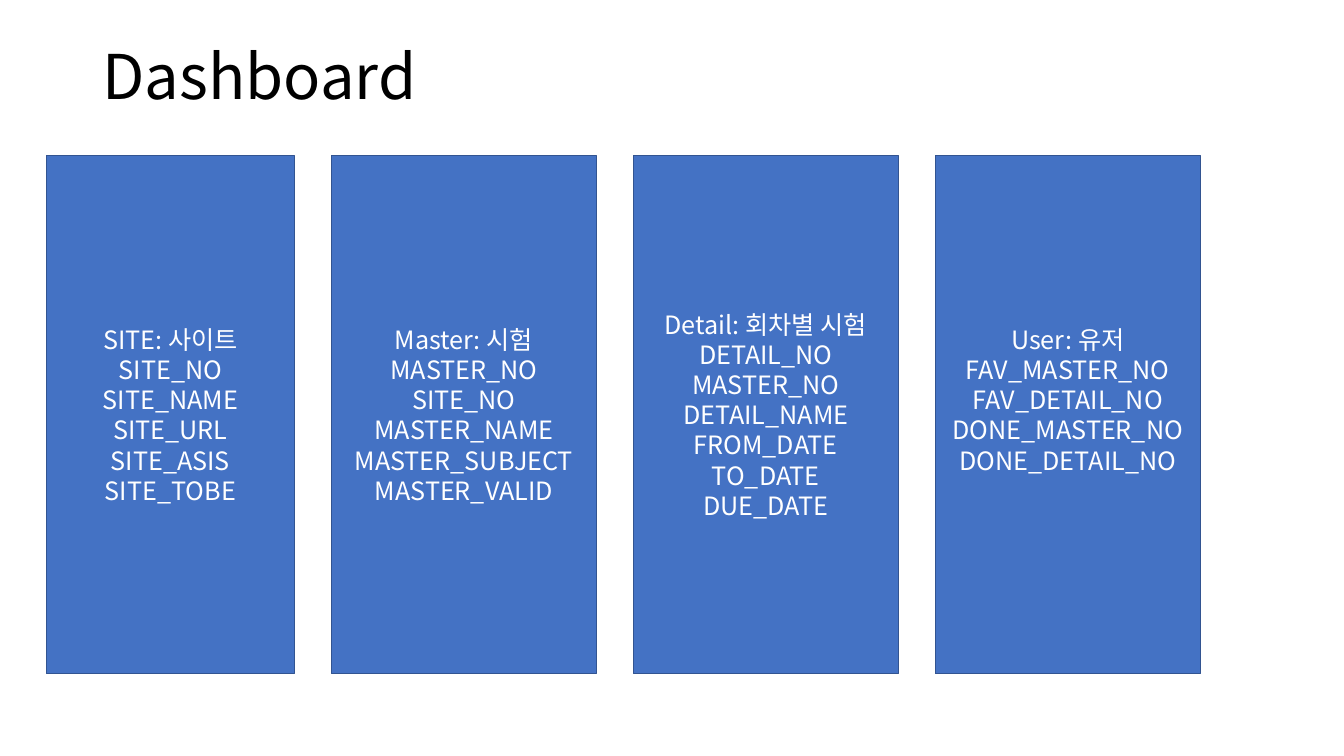
from lxml.etree import SubElement
from pptx import Presentation
from pptx.dml.color import RGBColor
from pptx.enum.shapes import MSO_SHAPE as Shape
from pptx.enum.text import MSO_ANCHOR as Anchor, PP_ALIGN as Align
from pptx.oxml.ns import qn
from pptx.util import Cm, Pt

BLACK = RGBColor(0x00, 0x00, 0x00)
WHITE = RGBColor(0xFF, 0xFF, 0xFF)
BLUE = RGBColor(0x44, 0x72, 0xC4)
DARK_BLUE = RGBColor(0x32, 0x54, 0x91)
FONT = "Noto Sans CJK KR"

# Each entity: width in cm, heading and fields
ENTITIES = [
    (6.25, ["SITE: 사이트", "SITE_NO", "SITE_NAME", "SITE_URL", "SITE_ASIS", "SITE_TOBE"]),
    (6.68, ["Master: 시험", "MASTER_NO", "SITE_NO", "MASTER_NAME", "MASTER_SUBJECT",
            "MASTER_VALID"]),
    (6.68, ["Detail: 회차별 시험", "DETAIL_NO", "MASTER_NO", "DETAIL_NAME", "FROM_DATE",
            "TO_DATE", "DUE_DATE"]),
    (6.68, ["User: 유저", "FAV_MASTER_NO", "FAV_DETAIL_NO", "DONE_MASTER_NO",
            "DONE_DETAIL_NO"]),
]
ENTITY_GAP = 0.93
MIN_ROWS = 6
ROW_HEIGHT = 0.76
INSET = 0.13


def format_paragraph(paragraph, size, color, alignment):
    """Set the font for both Latin and Korean letters, and the alignment."""
    paragraph.alignment = alignment
    font = paragraph.font
    font.size = Pt(size)
    font.color.rgb = color
    font.name = FONT
    defaults = paragraph._p.pPr.find(qn("a:defRPr"))
    SubElement(defaults, qn("a:ea"), typeface=FONT)


def place_title(slide, left, top, width, height):
    title = slide.shapes.title
    title.left, title.top, title.width, title.height = map(Cm, (left, top, width, height))
    frame = title.text_frame
    frame.text = "Dashboard"
    frame.vertical_anchor = Anchor.MIDDLE
    heading = frame.paragraphs[0]
    heading.line_spacing = 0.9
    format_paragraph(heading, 44, BLACK, Align.LEFT)


def add_entity(slide, rows, left, top, width, height):
    """Draw one entity box; short lists keep room for MIN_ROWS rows."""
    entity = slide.shapes.add_shape(Shape.RECTANGLE, *map(Cm, (left, top, width, height)))
    entity.shadow.inherit = False
    entity.fill.solid()
    entity.fill.fore_color.rgb = BLUE
    entity.line.color.rgb = DARK_BLUE
    entity.line.width = Pt(1)
    frame = entity.text_frame
    frame.word_wrap = True
    frame.vertical_anchor = Anchor.MIDDLE
    frame.margin_top = Cm(INSET)
    frame.margin_bottom = Cm(INSET + ROW_HEIGHT * max(0, MIN_ROWS - len(rows)))
    frame.text = "\n".join(rows)
    for paragraph in frame.paragraphs:
        format_paragraph(paragraph, 18, WHITE, Align.CENTER)


def add_entities(slide, left, top, height):
    for width, rows in ENTITIES:
        add_entity(slide, rows, left, top, width, height)
        left += width + ENTITY_GAP


def main():
    deck = Presentation()
    deck.slide_width, deck.slide_height = Cm(33.87), Cm(19.05)
    slide = deck.slides.add_slide(deck.slide_layouts[5])
    place_title(slide, 2.33, 1.01, 29.21, 2)
    add_entities(slide, 1.17, 3.92, 13.06)
    deck.save("out.pptx")


if __name__ == "__main__":
    main()
